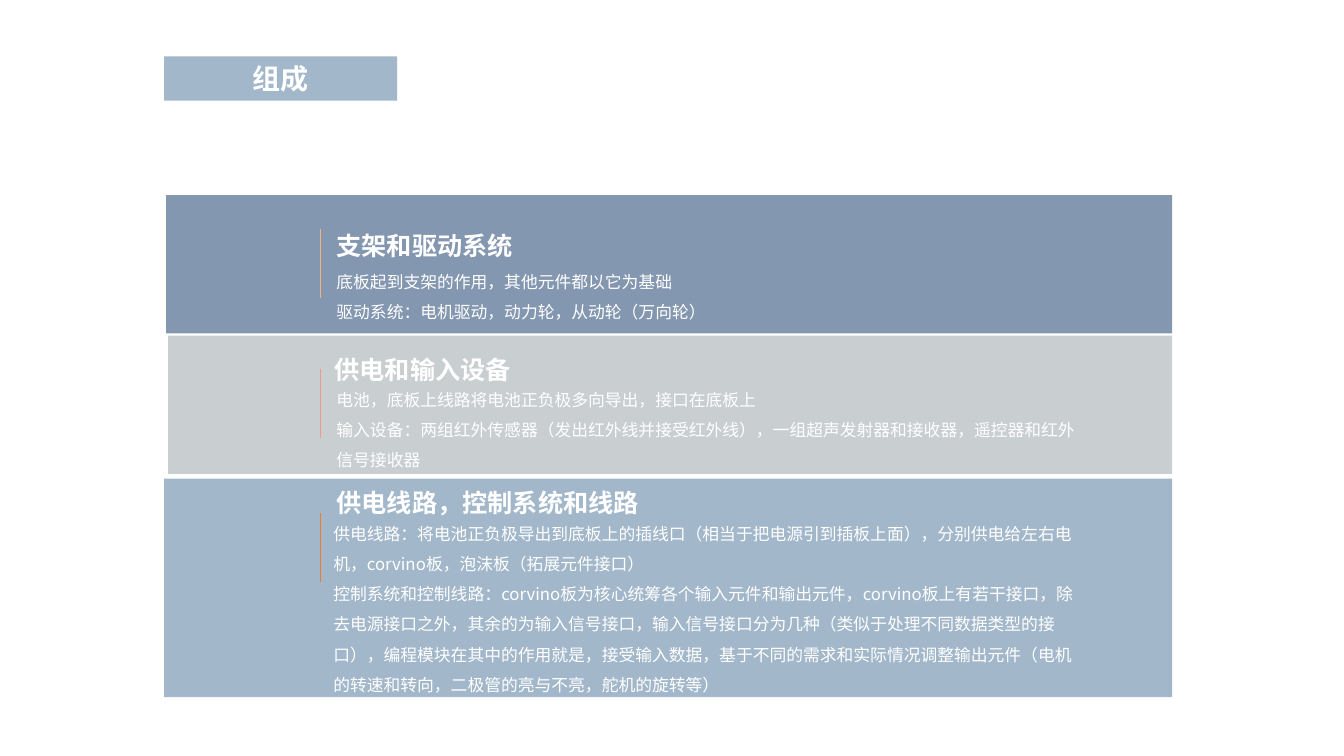
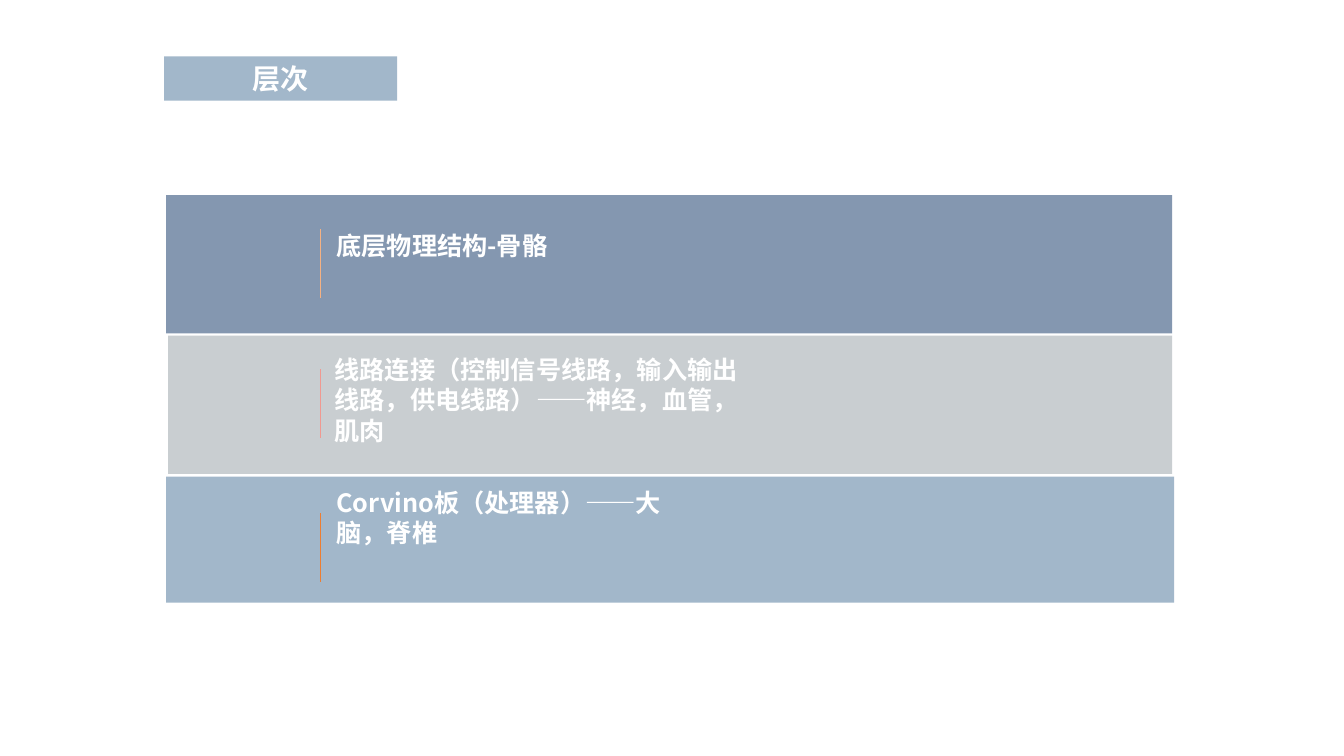
from dataclasses import dataclass

from lxml import etree
from pptx import Presentation
from pptx.dml.color import RGBColor
from pptx.enum.shapes import MSO_CONNECTOR, MSO_SHAPE
from pptx.enum.text import MSO_ANCHOR, MSO_AUTO_SIZE, PP_ALIGN
from pptx.oxml.ns import qn
from pptx.util import Cm, Pt

RECTANGLE = MSO_SHAPE.RECTANGLE
STRAIGHT = MSO_CONNECTOR.STRAIGHT
LEFT, CENTER = PP_ALIGN.LEFT, PP_ALIGN.CENTER
TOP, MIDDLE = MSO_ANCHOR.TOP, MSO_ANCHOR.MIDDLE
GROW = MSO_AUTO_SIZE.SHAPE_TO_FIT_TEXT

FONT = "Noto Sans CJK SC"
COLORS = {
    "text": "FFFFFF",
    "slate": "8497B0",
    "grey": "C9CED1",
    "sky": "A2B7CA",
    "peach": "F4B183",
    "rose": "F09991",
    "orange": "ED7D31",
}

# All lengths are in centimetres.
MARGIN = 4.14
TITLE_BOX = (MARGIN, 1.42, 5.87, 1.12)
RULE_INSET, RULE_HEIGHT = 3.94, 1.74
BODY_WIDTH = 19.53


@dataclass
class RowStyle:
    """Look of a row; the pairs are offsets from the row's top left corner."""
    top: float
    fill: str
    rule_color: str
    rule_offset: float
    heading_offset: tuple
    body_offset: tuple


ROW_STYLES = [
    RowStyle(4.92, "slate", "peach", 0.86, (4.09, 0.77), (4.09, 1.54)),
    RowStyle(8.46, "grey", "rose", 0.84, (4.04, 0.35), (4.09, 0.97)),
    RowStyle(12.01, "sky", "orange", 0.92, (4.09, 0.15), (4.01, 0.8)),
]


@dataclass
class Row:
    """Content of a row; band is x and y offset, width and height."""
    band: tuple
    heading: str
    heading_size: tuple
    body: tuple = ()
    body_height: float = 0


TOP_BAND = (0.05, 0, 25.35, 3.48)
MIDDLE_BAND = (0.1, 0, 25.3, 3.48)

SLIDES = [
    ("组成", [
        Row(TOP_BAND, "支架和驱动系统", (5.92, 1.02), (
            "底板起到支架的作用，其他元件都以它为基础",
            "驱动系统：电机驱动，动力轮，从动轮（万向轮）",
        ), 3.33),
        Row(MIDDLE_BAND, "供电和输入设备", (5.92, 1.02), (
            "电池，底板上线路将电池正负极多向导出，接口在底板上",
            "输入设备：两组红外传感器（发出红外线并接受红外线），"
            "一组超声发射器和接收器，遥控器和红外信号接收器",
        ), 2.57),
        Row((0, 0.05, 25.4, 5.51), "供电线路，控制系统和线路", (9.09, 1.02), (
            "供电线路：将电池正负极导出到底板上的插线口（相当于把电源引到插板上面），"
            "分别供电给左右电机，corvino板，泡沫板（拓展元件接口）",
            "控制系统和控制线路：corvino板为核心统筹各个输入元件和输出元件，"
            "corvino板上有若干接口，除去电源接口之外，其余的为输入信号接口，"
            "输入信号接口分为几种（类似于处理不同数据类型的接口），"
            "编程模块在其中的作用就是，接受输入数据，基于不同的需求和实际情况调整输出元件"
            "（电机的转速和转向，二极管的亮与不亮，舵机的旋转等）",
        ), 4.88),
    ]),
    ("层次", [
        Row(TOP_BAND, "底层物理结构-骨骼", (5.92, 1.02)),
        Row(MIDDLE_BAND, "线路连接（控制信号线路，输入输出线路，供电线路）——神经，血管，肌肉",
            (11.05, 2.57)),
        Row((0.05, 0, 25.4, 3.18), "Corvino板（处理器）——大脑，脊椎", (9.09, 1.8)),
    ]),
]


def rgb(name):
    return RGBColor.from_string(COLORS[name])


def lengths(box):
    return [Cm(value) for value in box]


def write_text(shape, paragraphs, size, bold=False, align=LEFT, anchor=TOP,
               line_spacing=None):
    frame = shape.text_frame
    frame.word_wrap = True
    frame.auto_size = GROW
    frame.vertical_anchor = anchor
    for index, text in enumerate(paragraphs):
        paragraph = frame.add_paragraph() if index else frame.paragraphs[0]
        paragraph.alignment = align
        paragraph.line_spacing = line_spacing
        run = paragraph.add_run()
        run.text = text
        run.font.size = Pt(size)
        run.font.bold = bold
        run.font.color.rgb = rgb("text")
        run.font.name = FONT
        # Chinese characters take their font from a separate element.
        east_asian = etree.SubElement(run.font._element, qn("a:ea"))
        east_asian.set("typeface", FONT)


def add_text(slide, box, paragraphs, **text_format):
    write_text(slide.shapes.add_textbox(*lengths(box)), paragraphs, **text_format)


def add_block(slide, box, fill):
    block = slide.shapes.add_shape(RECTANGLE, *lengths(box))
    block.shadow.inherit = False
    block.fill.solid()
    block.fill.fore_color.rgb = rgb(fill)
    block.line.fill.background()
    return block


def add_rule(slide, left, top, color):
    rule = slide.shapes.add_connector(
        STRAIGHT, *lengths((left, top, left, top + RULE_HEIGHT)))
    rule.line.color.rgb = rgb(color)
    rule.line.width = Pt(0.5)
    etree.SubElement(rule.line._get_or_add_ln().getparent(), qn("a:effectLst"))


def add_title(slide, title):
    block = add_block(slide, TITLE_BOX, "sky")
    write_text(block, [title], size=20, bold=True, align=CENTER, anchor=MIDDLE)


def add_row(slide, left, style, row):
    def place(offset, size):
        return (left + offset[0], style.top + offset[1], *size)

    add_block(slide, place(row.band[:2], row.band[2:]), style.fill)
    add_text(slide, place(style.heading_offset, row.heading_size), [row.heading],
             size=18, bold=True)
    if row.body:
        add_text(slide, place(style.body_offset, (BODY_WIDTH, row.body_height)),
                 row.body, size=12, line_spacing=1.5)
    add_rule(slide, left + RULE_INSET, style.top + style.rule_offset, style.rule_color)


def add_rows_slide(presentation, title, rows):
    slide = presentation.slides.add_slide(presentation.slide_layouts[6])
    for style, row in zip(ROW_STYLES, rows):
        add_row(slide, MARGIN, style, row)
    add_title(slide, title)


def main():
    presentation = Presentation()
    presentation.slide_width = Cm(33.87)
    presentation.slide_height = Cm(19.05)
    for title, rows in SLIDES:
        add_rows_slide(presentation, title, rows)
    presentation.save("out.pptx")


if __name__ == "__main__":
    main()
